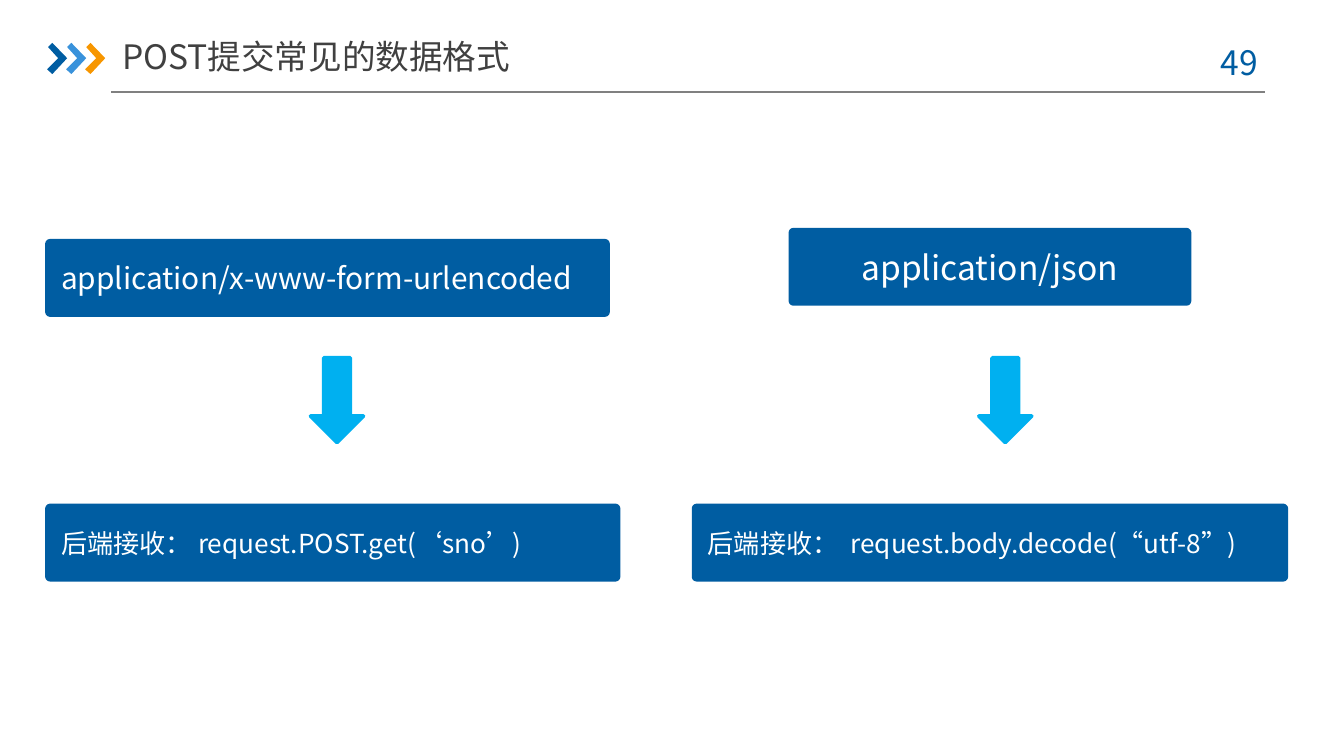
from lxml import etree
from pptx import Presentation, util as u
from pptx.dml.color import RGBColor
from pptx.enum import shapes, text
from pptx.oxml.ns import qn

FONT = "Noto Sans CJK SC"
BLUE = "005DA2"


def paint(shape, color, line_width=None):
    shape.shadow.inherit = False
    shape.fill.solid()
    shape.fill.fore_color.rgb = RGBColor.from_string(color)
    if line_width is None:
        shape.line.fill.background()
    else:
        shape.line.color.rgb = RGBColor.from_string(color)
        shape.line.width = u.Pt(line_width)


def write(shape, wording, size, color, align, anchor, inset=0.25):
    frame = shape.text_frame
    frame.word_wrap = True
    frame.vertical_anchor = anchor
    frame.margin_left = frame.margin_right = u.Cm(inset)
    frame.text = wording
    paragraph = frame.paragraphs[0]
    paragraph.alignment = align
    font = paragraph.runs[0].font
    font.name = FONT
    font.size = u.Pt(size)
    font.color.rgb = RGBColor.from_string(color)
    etree.SubElement(font._element, qn("a:ea")).set("typeface", FONT)


LEFT, CENTER = text.PP_ALIGN.LEFT, text.PP_ALIGN.CENTER
TOP, MIDDLE = text.MSO_ANCHOR.TOP, text.MSO_ANCHOR.MIDDLE

presentation = Presentation()
presentation.slide_width = u.Cm(25.4)
presentation.slide_height = u.Cm(14.28)
slide = presentation.slides.add_slide(presentation.slide_layouts[6])

rule = slide.shapes.add_connector(
    shapes.MSO_CONNECTOR.STRAIGHT, u.Cm(2.1), u.Cm(1.74), u.Cm(23.9), u.Cm(1.74))
rule.line.color.rgb = RGBColor.from_string("808080")
rule.line.width = u.Pt(0.75)
etree.SubElement(rule._element.spPr, qn("a:effectLst"))

chevron_points = [(2, 8), (10, 0), (38, 29), (10, 59), (0, 50), (21, 29)]
for index, color in enumerate([BLUE, "3992DB", "F79600"]):
    builder = slide.shapes.build_freeform(*chevron_points[0], scale=u.Cm(0.01))
    builder.add_line_segments(chevron_points[1:], close=True)
    chevron = builder.convert_to_shape(u.Cm(0.89 + 0.36 * index), u.Cm(0.81))
    paint(chevron, color)

page_number = slide.shapes.add_textbox(u.Cm(22.5), u.Cm(0.66), u.Cm(1.85), u.Cm(1.02))
write(page_number, "49", 18, BLUE, CENTER, TOP)

title = slide.shapes.add_textbox(u.Cm(2.31), u.Cm(0.53), u.Cm(9), u.Cm(1.07))
write(title, "POST提交常见的数据格式", 18, "404040", LEFT, MIDDLE, inset=0)

boxes = [
    (0.89, 4.55, 10.6, "application/x-www-form-urlencoded", 16, LEFT),
    (0.89, 9.55, 10.8, "后端接收： request.POST.get(‘sno’)", 14, LEFT),
    (14.94, 4.34, 7.54, "application/json", 18, CENTER),
    (13.11, 9.55, 11.2, "后端接收：  request.body.decode(“utf-8”)", 14, LEFT),
]
for left, top, width, wording, size, align in boxes:
    box = slide.shapes.add_shape(
        shapes.MSO_SHAPE.ROUNDED_RECTANGLE, u.Cm(left), u.Cm(top), u.Cm(width), u.Cm(1.4))
    box.adjustments[0] = 0.04
    paint(box, BLUE, 2)
    write(box, wording, size, "FFFFFF", align, MIDDLE)

for left in (5.87, 18.5):
    arrow = slide.shapes.add_shape(
        shapes.MSO_SHAPE.DOWN_ARROW, u.Cm(left), u.Cm(6.76), u.Cm(1), u.Cm(1.6))
    paint(arrow, "00B0F0", 2)

presentation.save("out.pptx")
